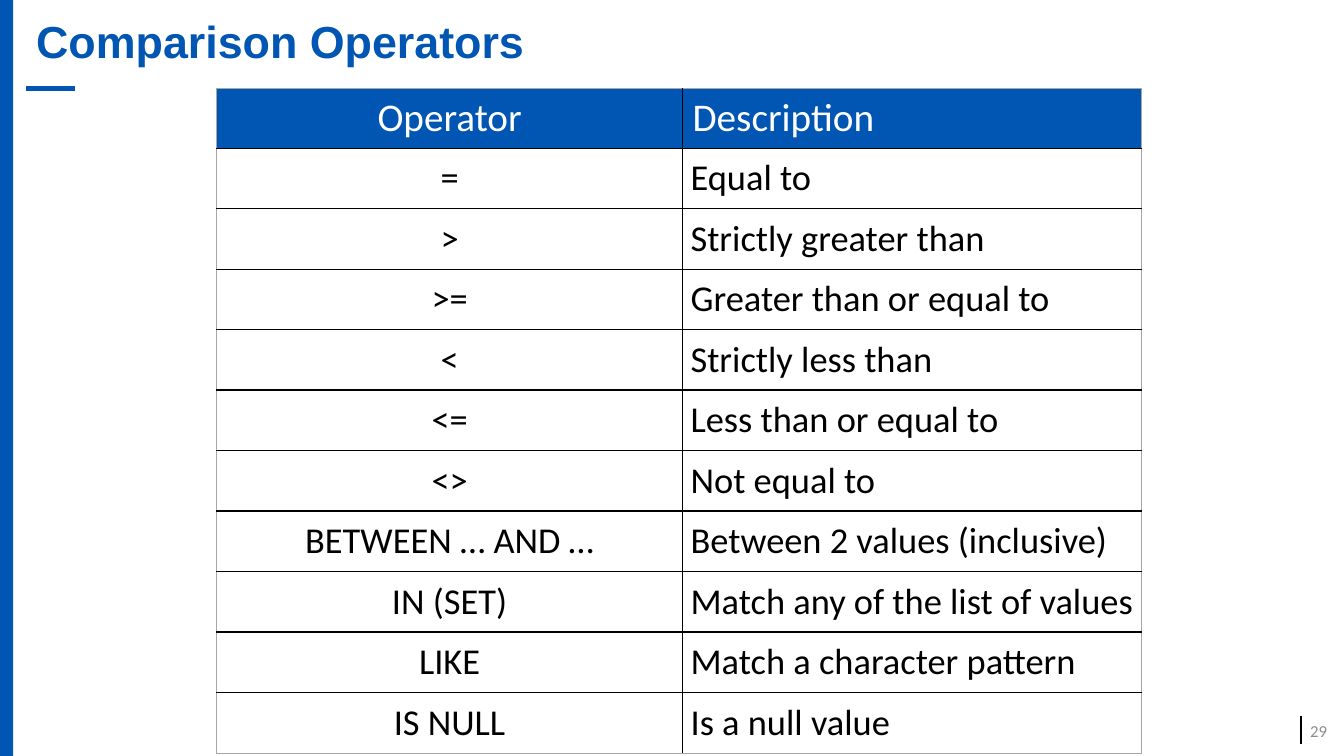
import pptx
import pptx.util
import pptx.dml.color
import pptx.enum.shapes
import pptx.enum.text
import pptx.oxml
import pptx.oxml.ns
from pptx.util import Inches

COLORS = {"blue": "0056B2", "black": "000000", "white": "FFFFFF",
          "gray": "8C8C8C", "edge": "A6A6A6"}
ALIGN = pptx.enum.text.PP_ALIGN
MIDDLE = pptx.enum.text.MSO_ANCHOR.MIDDLE

OPERATORS = [
    ("Operator", "Description"),
    ("=", "Equal to"),
    (">", "Strictly greater than"),
    (">=", "Greater than or equal to"),
    ("<", "Strictly less than"),
    ("<=", "Less than or equal to"),
    ("<>", "Not equal to"),
    ("BETWEEN … AND …", "Between 2 values (inclusive)"),
    ("IN (SET)", "Match any of the list of values"),
    ("LIKE", "Match a character pattern"),
    ("IS NULL", "Is a null value"),
]


def rgb(name):
    return pptx.dml.color.RGBColor.from_string(COLORS[name])


def write(frame, text, size, color, font="Calibri", bold=False, align=ALIGN.LEFT, spacing=1.0):
    frame.word_wrap = True
    para = frame.paragraphs[0]
    para.alignment = align
    para.line_spacing = spacing
    span = para.add_run()
    span.text = text
    span.font.size = pptx.util.Pt(size)
    span.font.name = font
    span.font.bold = bold
    span.font.color.rgb = rgb(color)


deck = pptx.Presentation()
deck.slide_width = Inches(13.33)
deck.slide_height = Inches(7.5)
page = deck.slides.add_slide(deck.slide_layouts[6])

# Side bar and rules
bar = page.shapes.add_shape(
    pptx.enum.shapes.MSO_SHAPE.RECTANGLE, 0, 0, Inches(0.13), Inches(7.5))
bar.shadow.inherit = False
bar.fill.solid()
bar.fill.fore_color.rgb = rgb("blue")
bar.line.fill.background()

for x1, y1, x2, y2, color, width in [
    (12.9, 7.1, 12.9, 7.38, "black", 1.5),
    (0.74, 0.88, 0.26, 0.88, "blue", 4),
]:
    rule = page.shapes.add_connector(
        pptx.enum.shapes.MSO_CONNECTOR.STRAIGHT,
        Inches(x1), Inches(y1), Inches(x2), Inches(y2))
    rule.line.color.rgb = rgb(color)
    rule.line.width = pptx.util.Pt(width)
    rule._element.spPr.append(pptx.oxml.parse_xml(
        f'<a:effectLst {pptx.oxml.ns.nsdecls("a")}/>'))

# Title and page number
title = page.shapes.add_textbox(Inches(0.26), 0, Inches(12.94), Inches(0.88))
title.text_frame.vertical_anchor = MIDDLE
write(title.text_frame, "Comparison Operators", 32, "blue",
      font="Arial", bold=True, spacing=0.9)

number = page.shapes.add_textbox(Inches(12.84), Inches(7.05), Inches(0.42), Inches(0.4))
number.text_frame.vertical_anchor = MIDDLE
write(number.text_frame, "29", 12, "gray", align=ALIGN.RIGHT)

# Operator table
table = page.shapes.add_table(
    len(OPERATORS), 2, Inches(2.15), Inches(0.88), Inches(9.17), Inches(6.59)).table
table.horz_banding = False
table.columns[0].width = Inches(4.62)
table.columns[1].width = Inches(4.55)
last_row = len(OPERATORS) - 1

for row, texts in enumerate(OPERATORS):
    table.rows[row].height = Inches(0.6 if row else 0.59)
    for column, text in enumerate(texts):
        cell = table.cell(row, column)
        align = ALIGN.LEFT if column else ALIGN.CENTER
        if row == 0:
            write(cell.text_frame, text, 28, "white", align=align)
        else:
            write(cell.text_frame, text, 26, "black", align=align)
            cell.vertical_anchor = MIDDLE
            cell.margin_left = cell.margin_top = cell.margin_bottom = Inches(0.08)
            cell.margin_right = Inches(0.02 if column else 0.08)
        properties = cell._tc.get_or_add_tcPr()
        outer_sides = {"lnL": column == 0, "lnR": column == 1,
                       "lnT": row == 0, "lnB": row == last_row}
        for side, outer in outer_sides.items():
            color, width = ("edge", 6350) if outer else ("black", 12700)
            properties.append(pptx.oxml.parse_xml(
                f'<a:{side} {pptx.oxml.ns.nsdecls("a")} w="{width}"><a:solidFill>'
                f'<a:srgbClr val="{COLORS[color]}"/></a:solidFill></a:{side}>'))
        if row == 0:
            cell.fill.solid()
            cell.fill.fore_color.rgb = rgb("blue")
        else:
            cell.fill.background()

deck.save("out.pptx")
